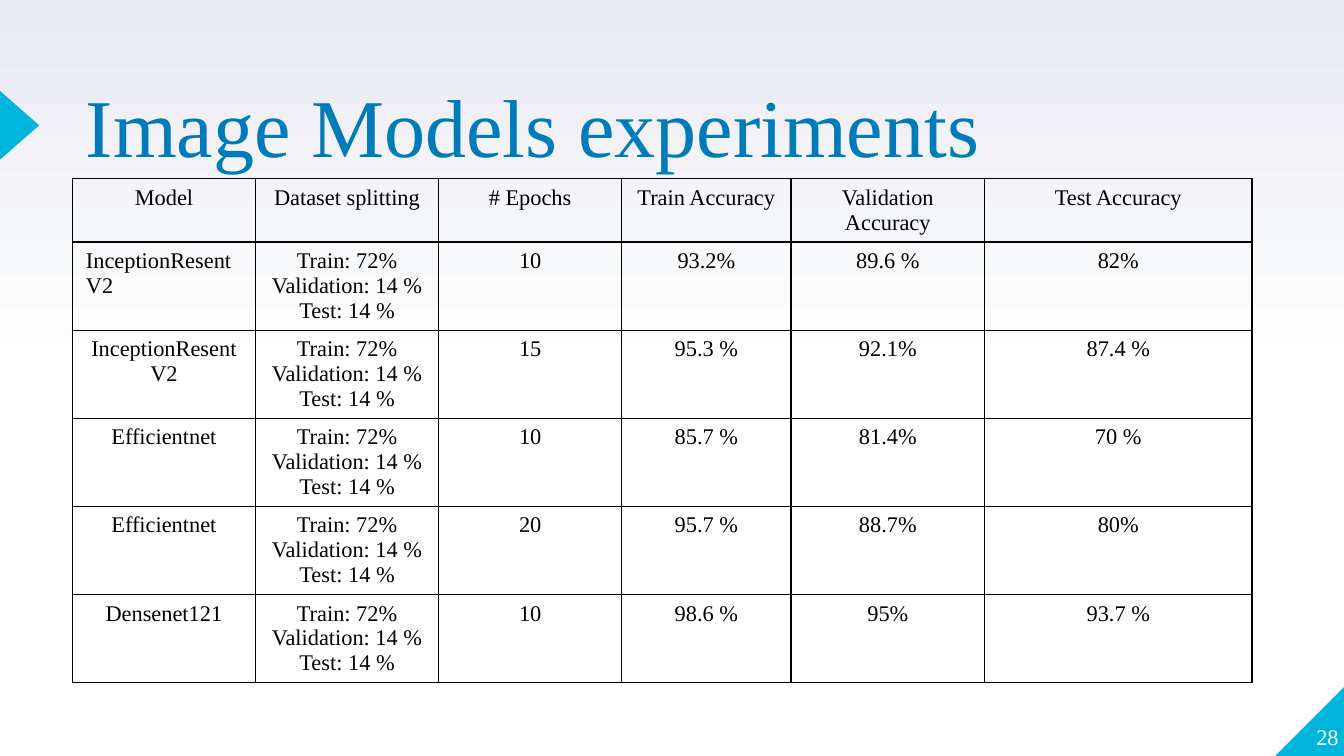
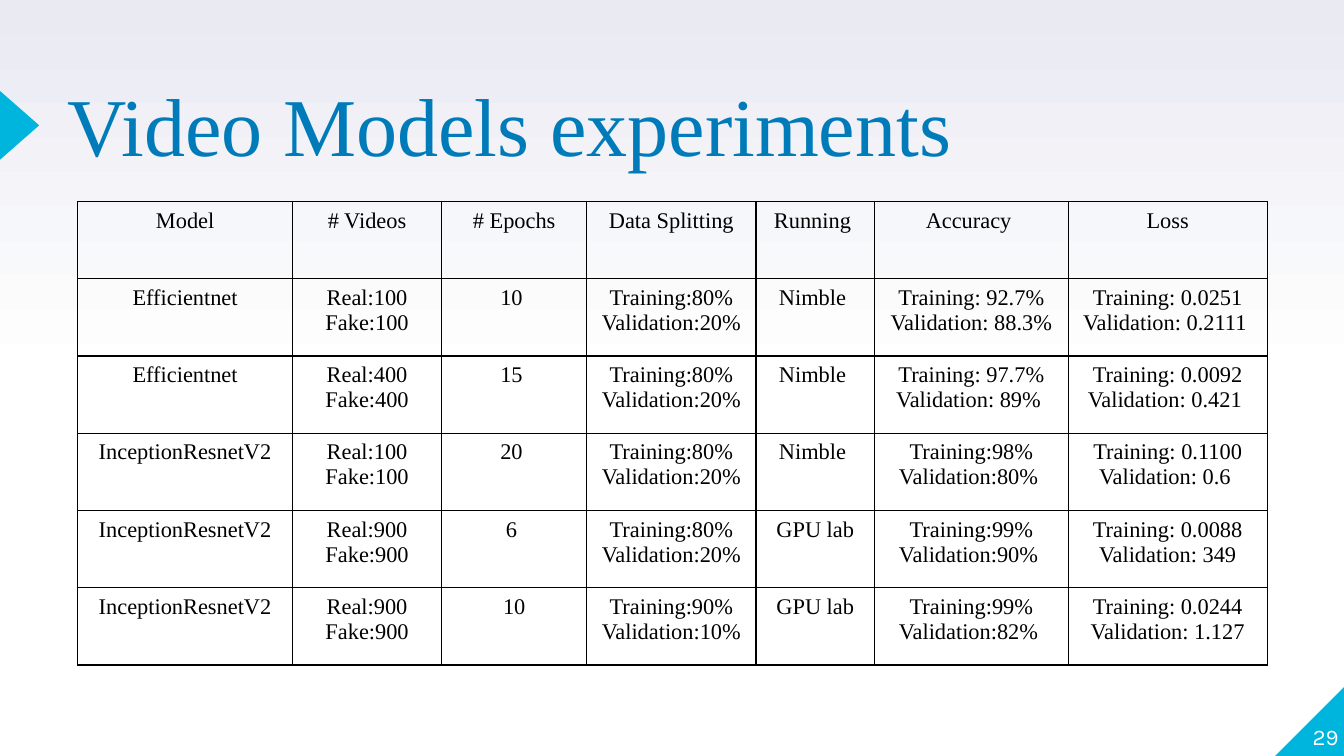
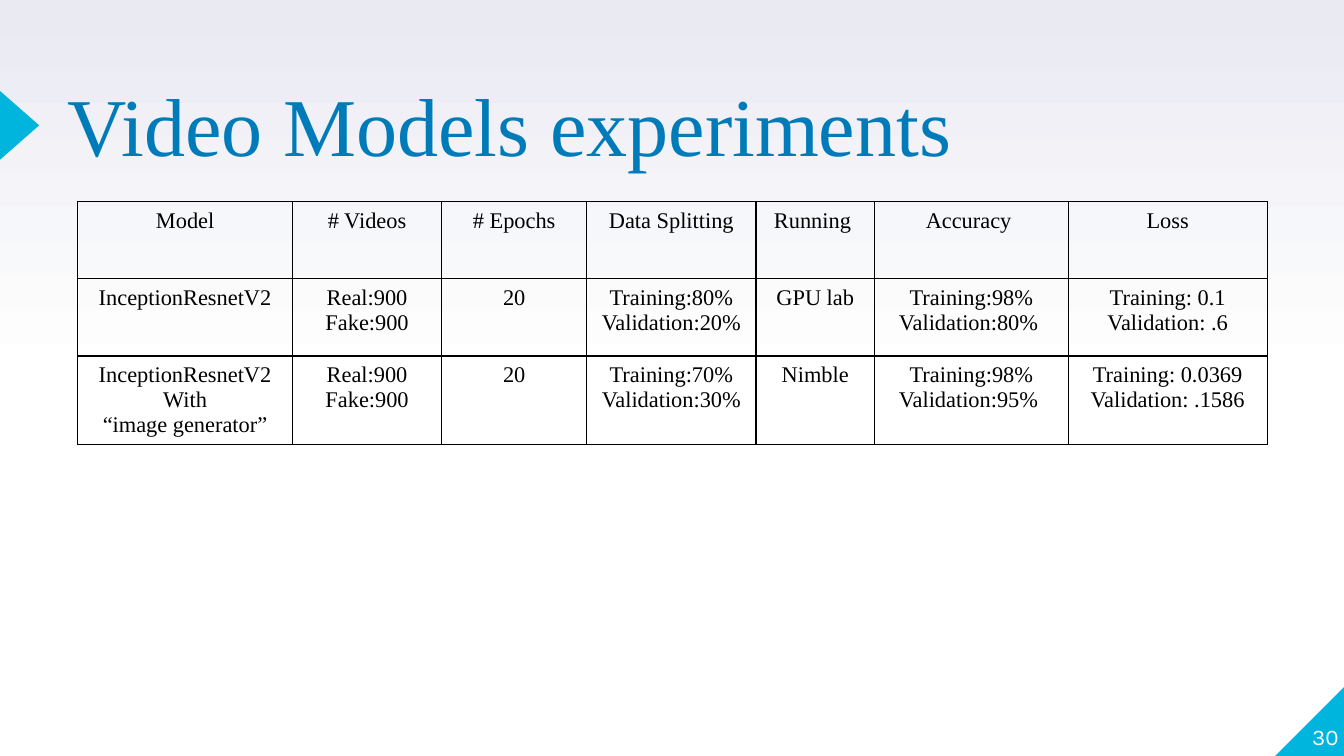
from copy import deepcopy

from pptx import Presentation
from pptx.dml.color import RGBColor as RGB
from pptx.enum.shapes import MSO_SHAPE as SHAPE
from pptx.enum.text import MSO_ANCHOR as ANCHOR, MSO_AUTO_SIZE as FIT, PP_ALIGN as ALIGN
from pptx.oxml import parse_xml
from pptx.oxml.ns import nsdecls, qn
from pptx.util import Cm, Pt

COLORS = {"white": "FFFFFF", "mist": "E9EAF2", "cyan": "00B5DD",
          "title": "007BB9", "text": "000000"}
SERIF, SANS = "Times New Roman", "Karla"
WIDTH, HEIGHT = 25.4, 14.29
TITLE_ONLY = 5
FIRST_PAGE = 28

SPLIT = "Train: 72%\nValidation: 14 %\nTest: 14 %"
IMAGE_COLS = [3.46, 3.46, 3.46, 3.2, 3.66, 5.05]
IMAGE_HEADER = ["Model", "Dataset splitting", "# Epochs", "Train Accuracy",
                "Validation Accuracy", "Test Accuracy"]
IMAGE_RUNS = [
    ["InceptionResentV2", SPLIT, "10", "93.2%", "89.6 %", "82%"],
    ["InceptionResentV2", SPLIT, "15", "95.3 %", "92.1%", "87.4 %"],
    ["Efficientnet", SPLIT, "10", "85.7 %", "81.4%", "70 %"],
    ["Efficientnet", SPLIT, "20", "95.7 %", "88.7%", "80%"],
    ["Densenet121", SPLIT, "10", "98.6 %", "95%", "93.7 %"],
]

VIDEO_COLS = [4.06, 2.82, 2.74, 3.2, 2.24, 3.66, 3.76]
VIDEO_HEADER = ["Model", "# Videos", "# Epochs", "Data Splitting", "Running ",
                "Accuracy ", "Loss"]
VIDEO_RUNS = [
    ["Efficientnet", "Real:100\nFake:100", "10 ", "Training:80%\nValidation:20% ", "Nimble ",
     "Training: 92.7%\nValidation: 88.3% ", "Training: 0.0251\nValidation: 0.2111 "],
    ["Efficientnet", "Real:400\nFake:400", "15 ", "Training:80%\nValidation:20% ", "Nimble ",
     "Training: 97.7%\nValidation: 89% ", "Training: 0.0092\nValidation: 0.421 "],
    ["InceptionResnetV2", "Real:100\nFake:100", "20 ", "Training:80%\nValidation:20% ", "Nimble ",
     "Training:98%\nValidation:80% ", "Training: 0.1100\nValidation: 0.6 "],
    ["InceptionResnetV2", "Real:900\nFake:900", "6 ", "Training:80%\nValidation:20% ", "GPU lab",
     "Training:99%\nValidation:90% ", "Training: 0.0088\nValidation: 349"],
    ["InceptionResnetV2", "Real:900\nFake:900", "10", "Training:90%\nValidation:10% ", "GPU lab",
     "Training:99%\nValidation:82% ", "Training: 0.0244\nValidation: 1.127"],
]
MORE_VIDEO_RUNS = [
    ["InceptionResnetV2", "Real:900\nFake:900", "20", "Training:80%\nValidation:20% ", "GPU lab",
     "Training:98%\nValidation:80% ", "Training: 0.1\nValidation: .6"],
    ["InceptionResnetV2\nWith\n“image generator”", "Real:900\nFake:900", "20",
     "Training:70%\nValidation:30% ", "Nimble",
     "Training:98%\nValidation:95% ", "Training: 0.0369\nValidation: .1586"],
]


def rgb(name):
    return RGB.from_string(COLORS[name])


def style(p, size, color, font=SERIF, align=ALIGN.LEFT):
    p.alignment = align
    p.font.size, p.font.name = Pt(size), font
    p.font.color.rgb = rgb(color)


def clear_margins(tf):
    tf.margin_left = tf.margin_top = tf.margin_right = tf.margin_bottom = 0
    tf.word_wrap = True
    tf.auto_size = FIT.NONE


def set_background(master):
    """Fade upwards from white, plain over the lower half, to mist."""
    fill = master.background.fill
    fill.gradient()
    fill.gradient_angle = 90
    for stop, color in zip(fill.gradient_stops, ("white", "mist")):
        stop.color.rgb = rgb(color)
    stops = master.element.find(".//" + qn("a:gsLst"))
    middle = deepcopy(stops[0])
    middle.set("pos", "50000")
    stops.insert(1, middle)


def add_triangle(slide, kind, left, top, width, height):
    sp = slide.shapes.add_shape(kind, Cm(left), Cm(top), Cm(width), Cm(height))
    sp.shadow.inherit = False
    sp.fill.solid()
    sp.fill.fore_color.rgb = rgb("cyan")
    sp.line.fill.background()
    return sp


def add_decor(slide, side=1.3, depth=0.74):
    corner = add_triangle(slide, SHAPE.RIGHT_TRIANGLE, WIDTH - side, HEIGHT - side, side, side)
    corner.element.spPr.xfrm.set("flipH", "1")
    pointer = add_triangle(slide, SHAPE.ISOSCELES_TRIANGLE, (depth - side) / 2, 2, side, depth)
    pointer.rotation = 90


def add_page_number(slide, number, font):
    tf = slide.shapes.add_textbox(Cm(24.03), Cm(12.88), Cm(1.27), Cm(1.3)).text_frame
    clear_margins(tf)
    tf.vertical_anchor = ANCHOR.BOTTOM
    tf.text = str(number)
    style(tf.paragraphs[0], 12, "white", font, ALIGN.RIGHT)


def set_title(slide, text, box, anchor, spacing):
    title = slide.shapes.title
    title.left, title.top, title.width, title.height = map(Cm, box)
    tf = title.text_frame
    clear_margins(tf)
    tf.vertical_anchor = anchor
    tf.text = text
    p = tf.paragraphs[0]
    style(p, 44, "title")
    p.line_spacing = spacing


def set_borders(cell):
    pr = cell._tc.get_or_add_tcPr()
    for i, side in enumerate(("lnL", "lnR", "lnT", "lnB")):
        pr.insert(i, parse_xml(
            f'<a:{side} {nsdecls("a")} w="{Pt(0.75)}"><a:solidFill>'
            f'<a:srgbClr val="{COLORS["text"]}"/></a:solidFill></a:{side}>'))


def add_runs_table(slide, left, top, cols, rows, header_height, row_height):
    heights = [header_height] + [row_height] * (len(rows) - 1)
    table = slide.shapes.add_table(len(rows), len(cols), Cm(left), Cm(top),
                                   Cm(sum(cols)), Cm(sum(heights))).table
    table.first_row = table.horz_banding = False
    for column, width in zip(table.columns, cols):
        column.width = Cm(width)
    for row, height, texts in zip(table.rows, heights, rows):
        row.height = Cm(height)
        for cell, text in zip(row.cells, texts):
            cell.text = text
            cell.fill.background()
            set_borders(cell)
            for p in cell.text_frame.paragraphs:
                style(p, 12, "text", align=ALIGN.CENTER)
    return table


def add_base_slide(prs, number_font):
    slide = prs.slides.add_slide(prs.slide_layouts[TITLE_ONLY])
    add_decor(slide)
    add_page_number(slide, FIRST_PAGE + len(prs.slides) - 1, number_font)
    return slide


def add_image_slide(prs):
    slide = add_base_slide(prs, SERIF)
    set_title(slide, "Image Models experiments", (1.62, 1.4, 17.5, 1.88), ANCHOR.BOTTOM, 1.0)
    table = add_runs_table(slide, 1.37, 3.38, IMAGE_COLS, [IMAGE_HEADER] + IMAGE_RUNS, 1.09, 1.52)
    table.cell(1, 0).text_frame.paragraphs[0].alignment = ALIGN.LEFT


def add_video_slide(prs, runs):
    slide = add_base_slide(prs, SANS)
    set_title(slide, "Video Models experiments", (1.27, 1.68, 17.78, 1.65), ANCHOR.MIDDLE, 0.8)
    add_runs_table(slide, 1.47, 3.81, VIDEO_COLS, [VIDEO_HEADER] + runs, 1.46, 1.46)


def main():
    prs = Presentation()
    prs.slide_width, prs.slide_height = Cm(WIDTH), Cm(HEIGHT)
    set_background(prs.slide_master)
    add_image_slide(prs)
    for runs in (VIDEO_RUNS, MORE_VIDEO_RUNS):
        add_video_slide(prs, runs)
    prs.save("out.pptx")


if __name__ == "__main__":
    main()
